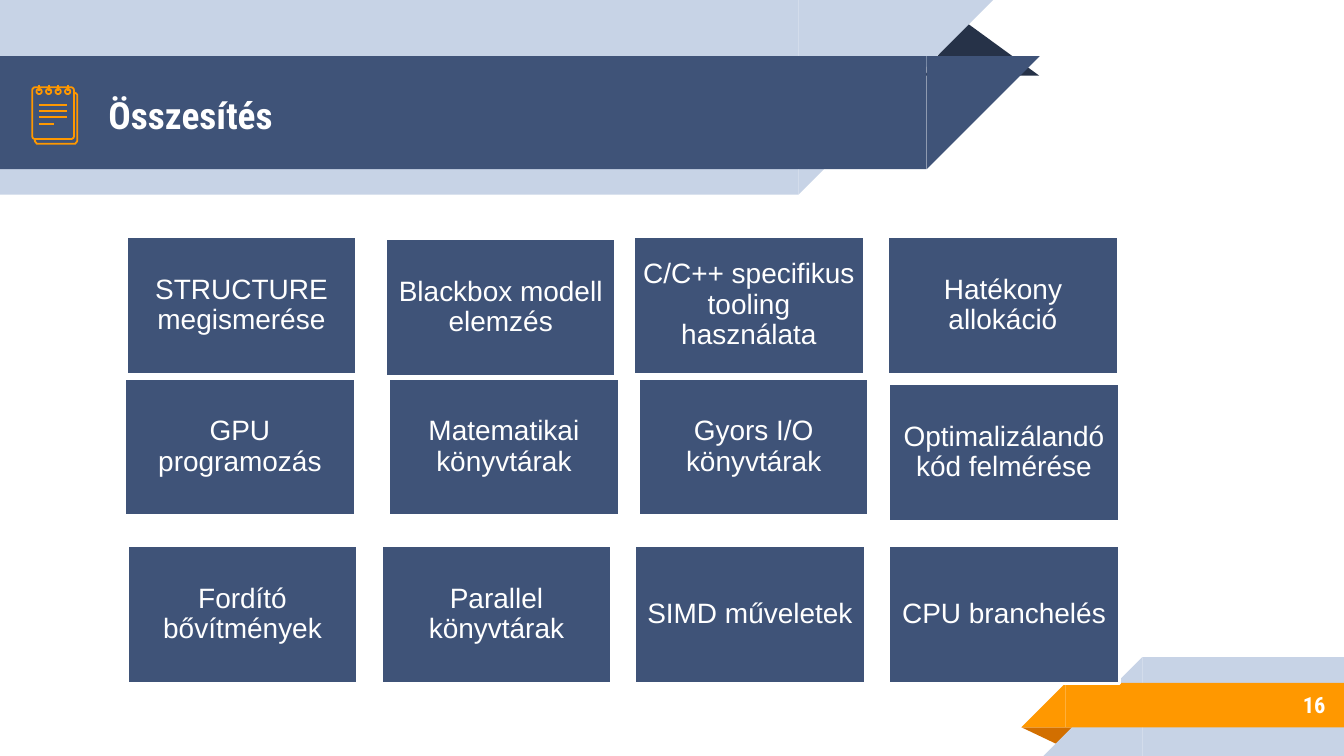
from dataclasses import dataclass

import pptx
import pptx.dml.color
import pptx.enum.shapes
import pptx.enum.text
import pptx.oxml
import pptx.oxml.ns
import pptx.util

Cm, Pt = pptx.util.Cm, pptx.util.Pt
Kind = pptx.enum.shapes.MSO_SHAPE
Align = pptx.enum.text.PP_ALIGN
Anchor = pptx.enum.text.MSO_ANCHOR

HUES = {
    "navy": "3F5378", "pale": "C7D3E6", "dark": "263248",
    "gold": "FF9800", "rust": "D26F00", "white": "FFFFFF",
}
HEAD = "Roboto Condensed"
BODY = "Arial"
THIN = 0.96


@dataclass
class Box:
    x: float
    y: float
    w: float
    h: float


@dataclass
class Band:
    kind: Kind
    box: Box
    hue: str
    turn: int = 0


@dataclass
class Tile:
    x: float
    y: float
    text: str


def tint(name: str) -> pptx.dml.color.RGBColor:
    return pptx.dml.color.RGBColor.from_string(HUES[name])


def place(item, box: Box) -> None:
    item.left, item.top = Cm(box.x), Cm(box.y)
    item.width, item.height = Cm(box.w), Cm(box.h)


def paint(shape, fill: str = "", line: str = "", width: float = THIN) -> None:
    shape.shadow.inherit = False
    if fill:
        shape.fill.solid()
        shape.fill.fore_color.rgb = tint(fill)
    else:
        shape.fill.background()
    if line:
        shape.line.color.rgb = tint(line)
        shape.line.width = Pt(width)
    else:
        shape.line.fill.background()


def draw(slide, kind: Kind, box: Box, **look):
    shape = slide.shapes.add_shape(kind, Cm(box.x), Cm(box.y), Cm(box.w), Cm(box.h))
    paint(shape, **look)
    return shape


def rule(slide, x1: float, y1: float, x2: float, y2: float) -> None:
    line = slide.shapes.add_connector(
        pptx.enum.shapes.MSO_CONNECTOR.STRAIGHT, Cm(x1), Cm(y1), Cm(x2), Cm(y2))
    line.line.color.rgb = tint("gold")
    line.line.width = Pt(THIN)
    props = line._element.spPr
    props.append(pptx.oxml.parse_xml(
        f"<a:effectLst {pptx.oxml.ns.nsdecls('a')}/>"))


def write(item, text: str, size: float, font: str, align: Align,
          inset: float = 0.25, bold: bool = False, lead: float = 1.0) -> None:
    frame = item.text_frame
    frame.word_wrap = True
    frame.auto_size = pptx.enum.text.MSO_AUTO_SIZE.NONE
    frame.vertical_anchor = Anchor.MIDDLE
    frame.margin_left = frame.margin_right = Cm(inset)
    frame.margin_top = frame.margin_bottom = Cm(inset)
    para = frame.paragraphs[0]
    para.alignment = align
    para.line_spacing = lead
    run = para.add_run()
    run.text = text
    run.font.size, run.font.name, run.font.bold = Pt(size), font, bold
    run.font.color.rgb = tint("white")


def notepad(slide) -> None:
    # Back sheet, seen along its left, bottom and right edges
    edge = [(0.66, 2.67), (0.7, 2.72), (1.42, 2.72), (1.46, 2.67),
            (1.46, 1.79), (1.42, 1.75)]
    pen = slide.shapes.build_freeform(Cm(0.66), Cm(2.64), scale=1.0)
    pen.add_line_segments([(Cm(x), Cm(y)) for x, y in edge], close=False)
    paint(pen.convert_to_shape(), line="gold")

    # Front sheet
    sheet = draw(slide, Kind.ROUNDED_RECTANGLE, Box(0.61, 1.65, 0.79, 0.98), line="gold")
    sheet.adjustments[0] = 0.07

    # Rings and the wires through them
    for i in range(4):
        x = 0.74 + 0.18 * i
        draw(slide, Kind.OVAL, Box(x - 0.05, 1.68, 0.1, 0.1), line="gold")
        rule(slide, x, 1.6, x, 1.72)

    # Written lines, the last one short
    for i, end in enumerate((1.27, 1.27, 1.27, 1.02)):
        y = 1.98 + 0.12 * i
        rule(slide, 0.74, y, end, y)


RECT, WEDGE, FOLD = Kind.RECTANGLE, Kind.RIGHT_TRIANGLE, Kind.ISOSCELES_TRIANGLE

BANDS = [
    # Header ribbon
    Band(FOLD, Box(17.48, 0.36, 2.16, 1.07), "dark"),
    Band(RECT, Box(0, 0, 15.09, 3.68), "pale"),
    Band(WEDGE, Box(15.09, 0, 3.68, 3.68), "pale", 90),
    Band(RECT, Box(0, 1.06, 17.51, 2.14), "navy"),
    Band(WEDGE, Box(17.51, 1.06, 2.14, 2.14), "navy", 90),
    # Footer ribbon
    Band(FOLD, Box(19.31, 13.75, 1.08, 0.35), "rust", 180),
    Band(RECT, Box(21.59, 12.42, 3.81, 1.87), "pale"),
    Band(WEDGE, Box(19.72, 12.42, 1.87, 1.87), "pale", 270),
    Band(RECT, Box(20.14, 12.91, 5.26, 0.84), "gold"),
    Band(WEDGE, Box(19.3, 12.91, 0.84, 0.84), "gold", 270),
]

TILES = [
    Tile(2.38, 4.46, "STRUCTURE megismerése"),
    Tile(7.28, 4.5, "Blackbox modell elemzés"),
    Tile(11.97, 4.46, "C/C++ specifikus tooling használata"),
    Tile(16.77, 4.46, "Hatékony allokáció"),
    Tile(2.35, 7.14, "GPU programozás"),
    Tile(7.34, 7.14, "Matematikai könyvtárak"),
    Tile(12.06, 7.14, "Gyors I/O könyvtárak"),
    Tile(16.79, 7.25, "Optimalizálandó kód felmérése"),
    Tile(2.4, 10.3, "Fordító bővítmények"),
    Tile(7.2, 10.3, "Parallel könyvtárak"),
    Tile(11.99, 10.3, "SIMD műveletek"),
    Tile(16.79, 10.3, "CPU branchelés"),
]


def main() -> None:
    deck = pptx.Presentation()
    deck.slide_width, deck.slide_height = Cm(25.4), Cm(14.29)
    slide = deck.slides.add_slide(deck.slide_layouts[5])

    # Ribbons
    for band in BANDS:
        shape = draw(slide, band.kind, band.box, fill=band.hue)
        shape.rotation = band.turn
        if band.kind == FOLD:
            shape.adjustments[0] = 0.32

    # Title, brought in front of the ribbon
    title = slide.shapes.title
    place(title, Box(1.8, 1.1, 14.6, 2.14))
    write(title, "Összesítés", 20, HEAD, Align.LEFT, bold=True)
    slide.shapes._spTree.append(title._element)

    # Page number
    page = slide.shapes.add_textbox(Cm(21.16), Cm(12.88), Cm(4.14), Cm(0.89))
    write(page, "16", 12, HEAD, Align.RIGHT, bold=True)

    notepad(slide)

    # Topic tiles
    for tile in TILES:
        shape = draw(slide, RECT, Box(tile.x, tile.y, 4.37, 2.62),
                     fill="navy", line="white", width=2)
        write(shape, tile.text, 15, BODY, Align.CENTER, inset=0.15, lead=0.9)

    deck.save("out.pptx")


if __name__ == "__main__":
    main()
